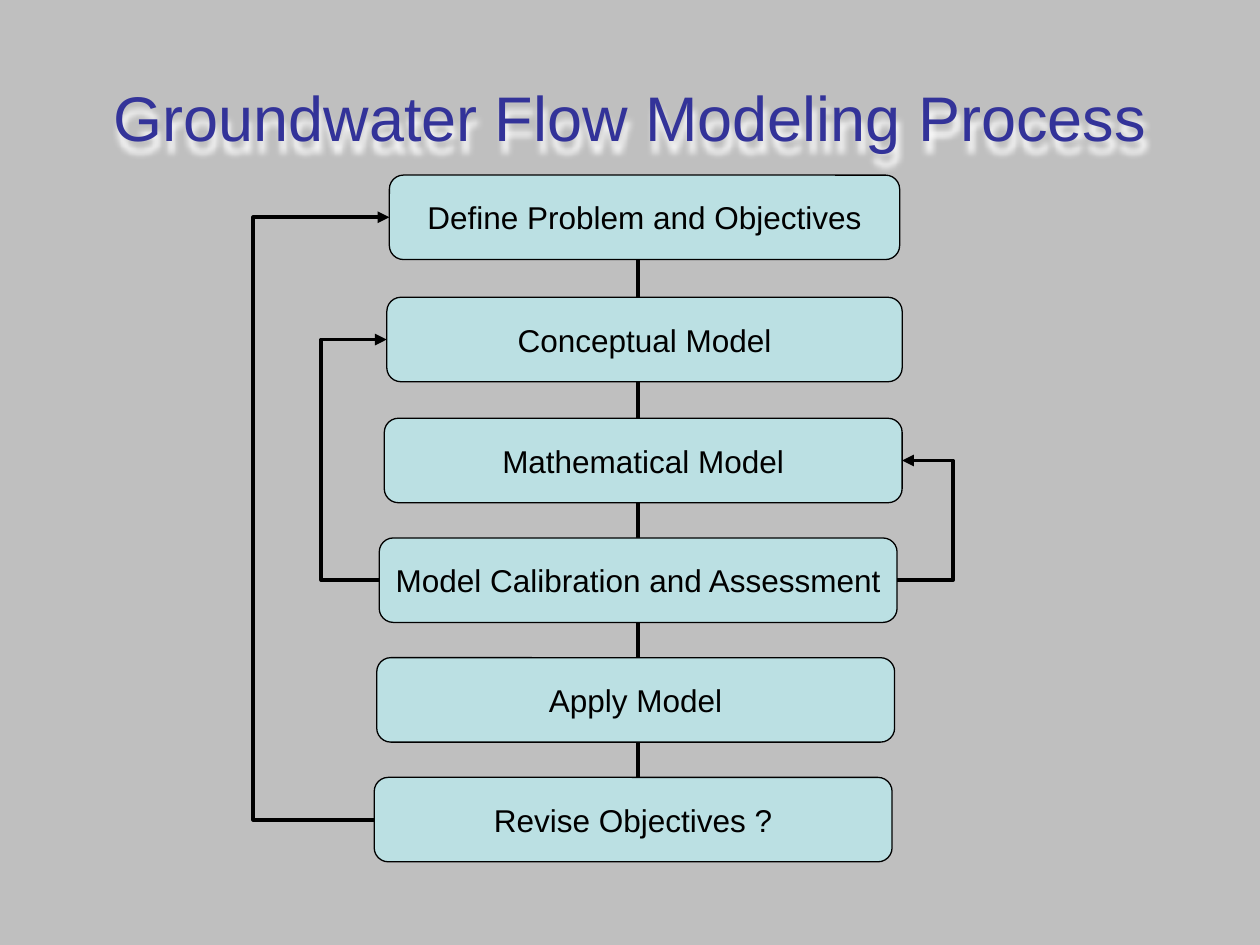
from pptx import Presentation
from pptx.dml.color import RGBColor
from pptx.enum.shapes import MSO_CONNECTOR as CONN, MSO_SHAPE as SHAPE
from pptx.enum.text import MSO_ANCHOR as ANCHOR, PP_ALIGN as ALIGN
from pptx.oxml import parse_xml
from pptx.oxml.ns import nsdecls
from pptx.util import Inches, Pt

GREY = RGBColor(0xBF, 0xBF, 0xBF)
BLACK = RGBColor(0, 0, 0)
AQUA = RGBColor(0xBB, 0xE0, 0xE3)
NAVY = RGBColor(0x33, 0x33, 0x99)

BOX_HEIGHT = 0.67
STEPS = [
    ("Define Problem and Objectives", 3.09, 1.39, 4.05),
    ("Conceptual Model", 3.07, 2.36, 4.09),
    ("Mathematical Model", 3.05, 3.32, 4.11),
    ("Model Calibration and Assessment", 3.01, 4.27, 4.11),
    ("Apply Model", 2.99, 5.22, 4.11),
    ("Revise Objectives ?", 2.97, 6.17, 4.11),
]
LOOPS = [(5, 0, "left", 2.01), (3, 1, "left", 2.55), (3, 2, "right", 7.56)]


def format_text(tf, text, size, color):
    tf.text = text
    tf.vertical_anchor = ANCHOR.MIDDLE
    p = tf.paragraphs[0]
    p.alignment = ALIGN.CENTER
    p.font.name = "Arial"
    p.font.size = Pt(size)
    p.font.color.rgb = color


def set_title(slide, text):
    sp = slide.shapes.title
    sp.left, sp.top = Inches(0.5), Inches(0.3)
    sp.width, sp.height = Inches(9), Inches(1.25)
    format_text(sp.text_frame, text, 36, NAVY)
    sp._element.spPr.append(parse_xml(
        f'<a:effectLst {nsdecls("a")}>'
        '<a:outerShdw blurRad="50800" dist="76200" dir="4800000">'
        '<a:srgbClr val="FFFFFF"/></a:outerShdw></a:effectLst>'))


def add_line(slide, kind, start, end):
    cx = slide.shapes.add_connector(kind, *map(Inches, start + end))
    cx.line.color.rgb = BLACK
    cx.line.width = Pt(2.25)
    cx._element.spPr.append(parse_xml(f'<a:effectLst {nsdecls("a")}/>'))
    return cx


def add_step(slide, text, left, top, width):
    sp = slide.shapes.add_shape(SHAPE.FLOWCHART_ALTERNATE_PROCESS, Inches(left),
                                Inches(top), Inches(width), Inches(BOX_HEIGHT))
    sp.shadow.inherit = False
    sp.fill.solid()
    sp.fill.fore_color.rgb = AQUA
    sp.line.color.rgb = BLACK
    sp.line.width = Pt(0.75)
    format_text(sp.text_frame, text, 18, BLACK)
    sp.text_frame.word_wrap = False


def side_point(step, side):
    _, left, top, width = step
    return (left if side == "left" else left + width, top + BOX_HEIGHT / 2)


def add_loop(slide, source, target, side, bend_x):
    start, end = side_point(STEPS[source], side), side_point(STEPS[target], side)
    cx = add_line(slide, CONN.ELBOW, start, end)
    bend = round((bend_x - start[0]) / (end[0] - start[0]) * 100000)
    guides = cx._element.spPr.prstGeom.get_or_add_avLst()
    guides.append(parse_xml(
        f'<a:gd {nsdecls("a")} name="adj1" fmla="val {bend}"/>'))
    cx.line._get_or_add_ln().append(parse_xml(
        f'<a:tailEnd {nsdecls("a")} type="triangle"/>'))


def main():
    prs = Presentation()
    prs.slide_width, prs.slide_height = Inches(10), Inches(7.5)
    slide = prs.slides.add_slide(prs.slide_layouts[5])
    slide.background.fill.solid()
    slide.background.fill.fore_color.rgb = GREY
    set_title(slide, "Groundwater Flow Modeling Process")
    add_line(slide, CONN.STRAIGHT, (5.06, 1.39), (5.06, 6.57))
    for step in STEPS:
        add_step(slide, *step)
    for loop in LOOPS:
        add_loop(slide, *loop)
    prs.save("out.pptx")


if __name__ == "__main__":
    main()
